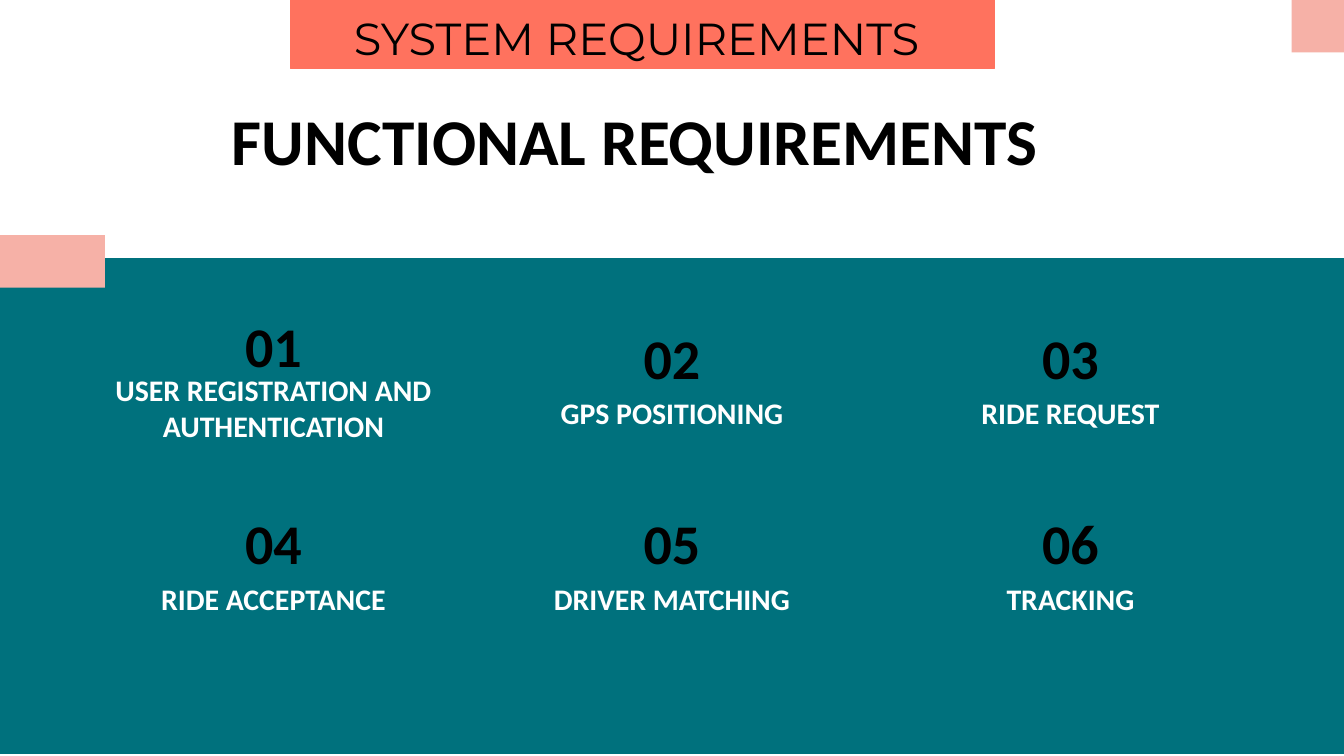
from pptx import Presentation
from pptx.dml.color import RGBColor
from pptx.enum.shapes import MSO_SHAPE
from pptx.enum.text import MSO_ANCHOR, MSO_AUTO_SIZE, PP_ALIGN
from pptx.util import Inches, Pt

RECTANGLE = MSO_SHAPE.RECTANGLE
MIDDLE, BOTTOM = MSO_ANCHOR.MIDDLE, MSO_ANCHOR.BOTTOM
NO_AUTOFIT = MSO_AUTO_SIZE.NONE
CENTER = PP_ALIGN.CENTER

TEAL = RGBColor(0x00, 0x71, 0x7D)
PINK = RGBColor(0xF6, 0xB1, 0xA7)
CORAL = RGBColor(0xFF, 0x72, 0x5E)
WHITE = RGBColor(0xFF, 0xFF, 0xFF)
BLACK = RGBColor(0x00, 0x00, 0x00)


def write(box, text, size, color=BLACK, font="Calibri", bold=True,
          anchor=MIDDLE, bottom=0.1, line_spacing=1.0):
    frame = box.text_frame
    frame.word_wrap = True
    frame.auto_size = NO_AUTOFIT
    frame.vertical_anchor = anchor
    frame.margin_left = frame.margin_right = frame.margin_top = Inches(0.1)
    frame.margin_bottom = Inches(bottom)
    para = frame.paragraphs[0]
    para.alignment = CENTER
    para.line_spacing = line_spacing
    para.space_before = Pt(0)
    span = para.add_run()
    span.text = text
    span.font.name = font
    span.font.size = Pt(size)
    span.font.bold = bold
    span.font.color.rgb = color


def add_block(page, left, top, width, height, color):
    block = page.shapes.add_shape(
        RECTANGLE, Inches(left), Inches(top), Inches(width), Inches(height))
    block.shadow.inherit = False
    block.fill.solid()
    block.fill.fore_color.rgb = color
    block.line.fill.background()
    return block


deck = Presentation()
deck.slide_width = Inches(10)
deck.slide_height = deck.slide_width * 9 // 16
page = deck.slides.add_slide(deck.slide_layouts[5])

add_block(page, 0, 1.92, 10, 3.69, TEAL)
add_block(page, 9.61, 0, 0.39, 0.39, PINK)
add_block(page, 0, 1.75, 0.78, 0.39, PINK)

title = page.shapes.title
title.left, title.top = Inches(1.47), Inches(0.79)
title.width, title.height = Inches(6.51), Inches(0.49)
title.fill.solid()
title.fill.fore_color.rgb = WHITE
write(title, "FUNCTIONAL REQUIREMENTS", 35)

requirements = [
    "USER REGISTRATION AND AUTHENTICATION", "GPS POSITIONING", "RIDE REQUEST",
    "RIDE ACCEPTANCE", "DRIVER MATCHING", "TRACKING",
]
COLUMNS = 3
FIRST_LEFT, LAST_LEFT = 0.72, 6.65
COLUMN_STEP = (LAST_LEFT - FIRST_LEFT) / (COLUMNS - 1)
LABEL_WIDTH, NUMBER_WIDTH = 2.63, 1.95
NUMBER_TOPS, LABEL_TOPS = [2.45, 3.83], [2.81, 4.2]

for index, requirement in enumerate(requirements):
    row, column = divmod(index, COLUMNS)
    left = FIRST_LEFT + column * COLUMN_STEP
    two_lines = index == 0
    label_height = 0.59 if two_lines else 0.49
    number_top = NUMBER_TOPS[row] - (0.09 if two_lines else 0)

    label = page.shapes.add_textbox(
        Inches(left), Inches(LABEL_TOPS[row]),
        Inches(LABEL_WIDTH), Inches(label_height))
    write(label, requirement, 16, color=WHITE, anchor=BOTTOM)

    number = page.shapes.add_textbox(
        Inches(left + (LABEL_WIDTH - NUMBER_WIDTH) / 2), Inches(number_top),
        Inches(NUMBER_WIDTH), Inches(0.41))
    write(number, f"{index + 1:02}", 30)

banner = add_block(page, 2.16, 0, 5.24, 0.51, CORAL)
banner.line.color.rgb = CORAL
banner.line.width = Pt(0.75)
write(banner, "SYSTEM REQUIREMENTS ", 24, font="Montserrat", bold=False,
      bottom=0.08, line_spacing=1.07)

deck.save("out.pptx")
